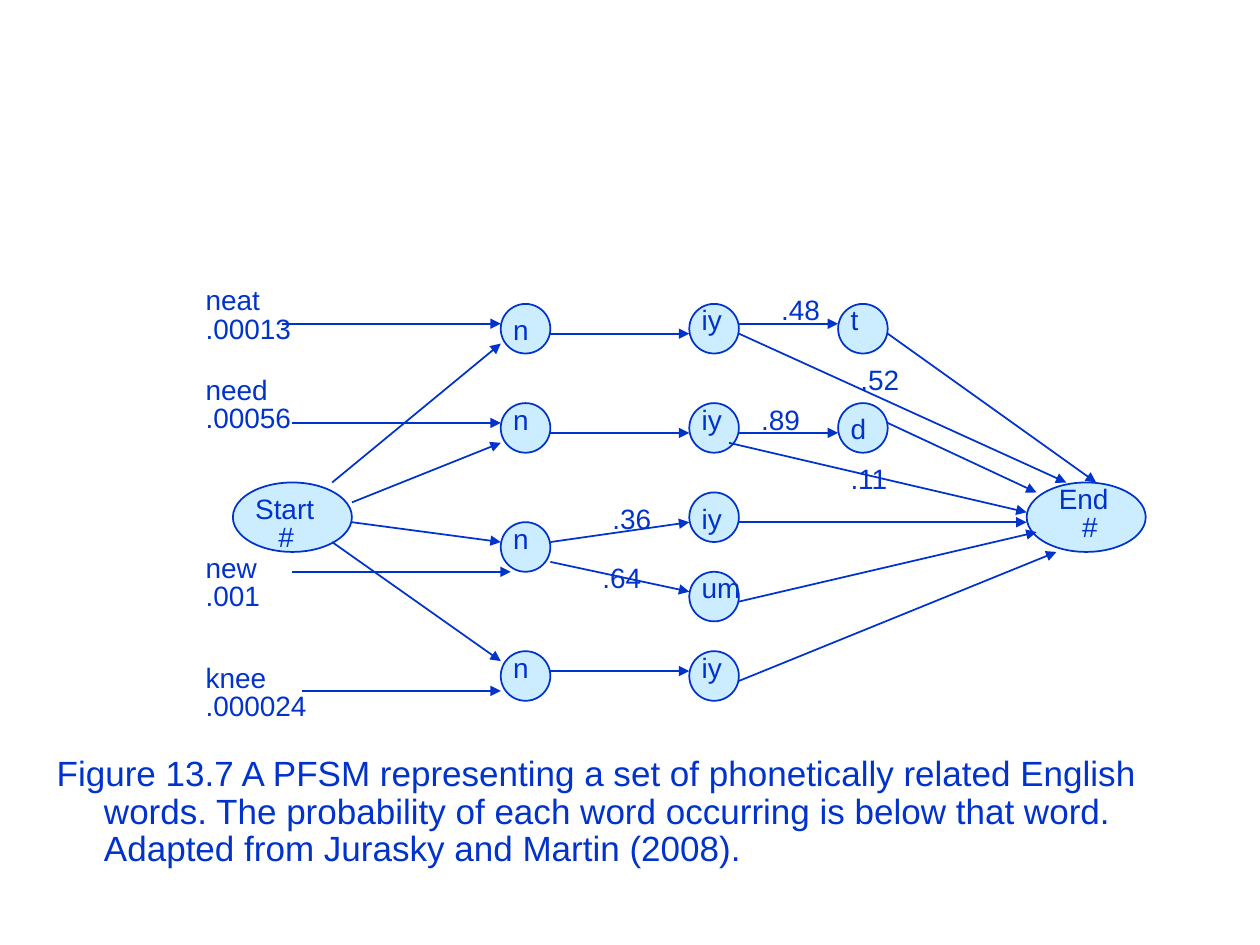
from dataclasses import dataclass

from lxml import etree
from pptx import Presentation
from pptx import util as u
from pptx.dml.color import RGBColor
from pptx.enum import shapes, text
from pptx.oxml import ns


@dataclass(frozen=True)
class Theme:
    ink: RGBColor = RGBColor(0x00, 0x33, 0xCC)
    fill: RGBColor = RGBColor(0xCC, 0xEC, 0xFF)
    font: str = "Arial"
    caption_size: int = 20
    label_size: int = 16
    line_width: int = 1


class Diagram:
    """Draws on a square grid; columns and rows count from the top left label."""

    LEFT, TOP, STEP = 110.4, 168, 5.67  # points

    def __init__(self, page, theme):
        self.page = page
        self.theme = theme
        self.group = page.shapes.add_group_shape()

    def x(self, column):
        return u.Pt(self.LEFT + column * self.STEP)

    def y(self, row):
        return u.Pt(self.TOP + row * self.STEP)

    def size(self, steps):
        return u.Pt(steps * self.STEP)

    def style_font(self, para, size):
        para.font.name = self.theme.font
        para.font.size = u.Pt(size)
        para.font.color.rgb = self.theme.ink

    def style_line(self, line):
        line.color.rgb = self.theme.ink
        line.width = u.Pt(self.theme.line_width)

    def caption(self, wording):
        box = self.page.placeholders[1]
        box.left, box.top = u.Pt(25.2), u.Pt(428.4)
        box.width, box.height = u.Pt(672.5), u.Pt(90.7)
        frame = box.text_frame
        frame.auto_size = text.MSO_AUTO_SIZE.NONE
        frame.vertical_anchor = text.MSO_ANCHOR.TOP
        frame.text = wording
        para = frame.paragraphs[0]
        para.line_spacing = 0.9
        para.space_before = u.Pt(0)
        properties = para._p.get_or_add_pPr()
        properties.set("marL", str(u.Pt(27)))
        properties.set("indent", str(u.Pt(-27)))
        etree.SubElement(properties, ns.qn("a:buNone"))
        self.style_font(para, self.theme.caption_size)

    def state(self, column, row, width=5, height=5):
        oval = self.group.shapes.add_shape(
            shapes.MSO_SHAPE.OVAL, self.x(column), self.y(row),
            self.size(width), self.size(height))
        oval.shadow.inherit = False
        oval.fill.solid()
        oval.fill.fore_color.rgb = self.theme.fill
        self.style_line(oval.line)

    def arrow(self, x1, y1, x2, y2):
        arrow = self.group.shapes.add_connector(
            shapes.MSO_CONNECTOR.STRAIGHT,
            self.x(x1), self.y(y1), self.x(x2), self.y(y2))
        self.style_line(arrow.line)
        etree.SubElement(arrow.line._get_or_add_ln(), ns.qn("a:tailEnd"), type="triangle")
        etree.SubElement(arrow._element.spPr, ns.qn("a:effectLst"))

    def label(self, column, row, lines, width=5, indent=0):
        height = 15.1 if len(lines) == 1 else 32.4
        box = self.page.shapes.add_textbox(
            self.x(column), self.y(row), self.size(width), u.Pt(height))
        frame = box.text_frame
        frame.word_wrap = True
        frame.auto_size = text.MSO_AUTO_SIZE.SHAPE_TO_FIT_TEXT
        for number, line in enumerate(lines):
            para = frame.add_paragraph() if number else frame.paragraphs[0]
            para.text = line
            para.line_spacing = 0.4
            para.space_before = u.Pt(8.4 if number else 0)
            if number and indent:
                para._p.get_or_add_pPr().set("marL", str(u.Pt(indent)))
            self.style_font(para, self.theme.label_size)


# Small states: column, row, phone, row of its label
STATES = [
    (31, 1, "n", 3), (31, 11, "n", 12), (31, 23, "n", 24), (31, 36, "n", 37),
    (50, 1, "iy", 2), (50, 11, "iy", 12), (50, 20, "iy", 22),
    (50, 28, "um", 29), (50, 36, "iy", 37),
    (65, 1, "t", 2), (65, 11, "d", 13),
]
# Start and end: column of the oval, column and row of the label, name
TERMINALS = [(4, 5, 21, "Start"), (84, 86, 20, "End")]
ARROWS = [
    # Words to their first phone
    (9, 3, 31, 3), (10, 13, 31, 13), (10, 28, 32, 28), (11, 40, 31, 40),
    # Start to first phones
    (14, 19, 31, 5), (16, 21, 31, 15), (16, 23, 31, 25), (14, 25, 31, 37),
    # First to second phones
    (36, 4, 50, 4), (36, 14, 50, 14), (36, 25, 50, 23), (36, 27, 50, 30), (36, 38, 50, 38),
    # Second to third phones
    (55, 3, 65, 3), (55, 14, 65, 14),
    # Phones to end
    (70, 4, 91, 19), (55, 4, 88, 19), (70, 13, 85, 20), (54, 15, 84, 22),
    (55, 23, 84, 23), (55, 31, 85, 24), (55, 39, 87, 26),
]
WORDS = [(0, "neat", ".00013"), (9, "need", ".00056"), (27, "new", ".001"), (38, "knee", ".000024")]
PROBABILITIES = [
    (58, 1, ".48"), (66, 8, ".52"), (56, 12, ".89"), (65, 18, ".11"),
    (41, 22, ".36"), (40, 28, ".64"),
]


def main():
    deck = Presentation()
    deck.slide_width, deck.slide_height = u.Pt(720), u.Pt(540)
    page = deck.slides.add_slide(deck.slide_layouts[1])
    title = page.shapes.title._element
    title.getparent().remove(title)
    diagram = Diagram(page, Theme())

    diagram.caption(
        "Figure 13.7 A PFSM representing a set of phonetically related English words. "
        "The probability of each word occurring is below that word. "
        "Adapted from Jurasky and Martin (2008).")

    # States and transitions
    for column, row, _, _ in STATES:
        diagram.state(column, row)
    for column, _, _, _ in TERMINALS:
        diagram.state(column, 19, width=12, height=7)
    for ends in ARROWS:
        diagram.arrow(*ends)

    # Labels
    for column, _, phone, row in STATES:
        diagram.label(column, row, [phone], width=7 if phone == "um" else 5)
    for _, column, row, name in TERMINALS:
        diagram.label(column, row, [name, "#"], width=15, indent=13.3)
    for row, word, chance in WORDS:
        diagram.label(0, row, [word, chance], width=15)
    for column, row, chance in PROBABILITIES:
        diagram.label(column, row, [chance], width=7)

    deck.save("out.pptx")


if __name__ == "__main__":
    main()
